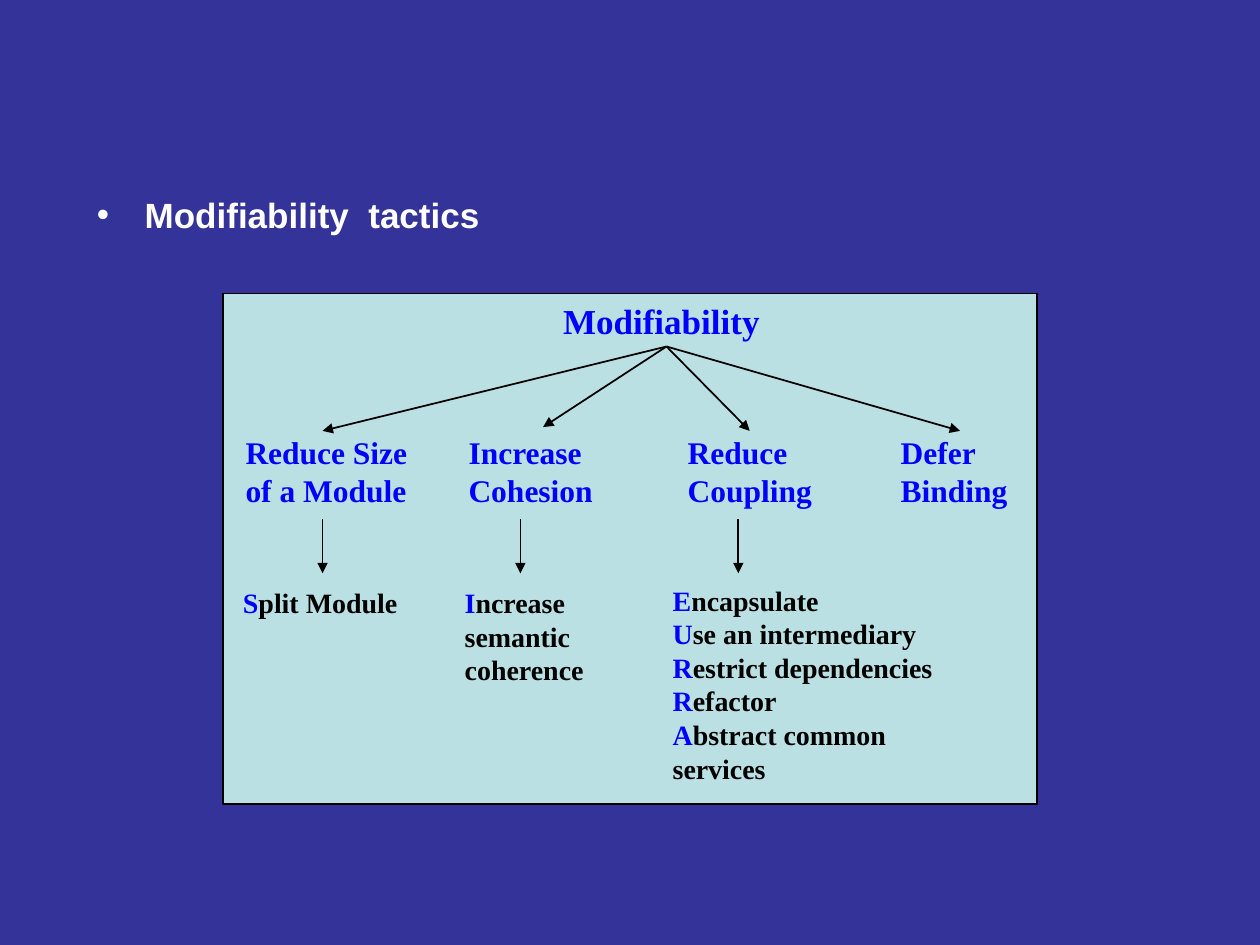
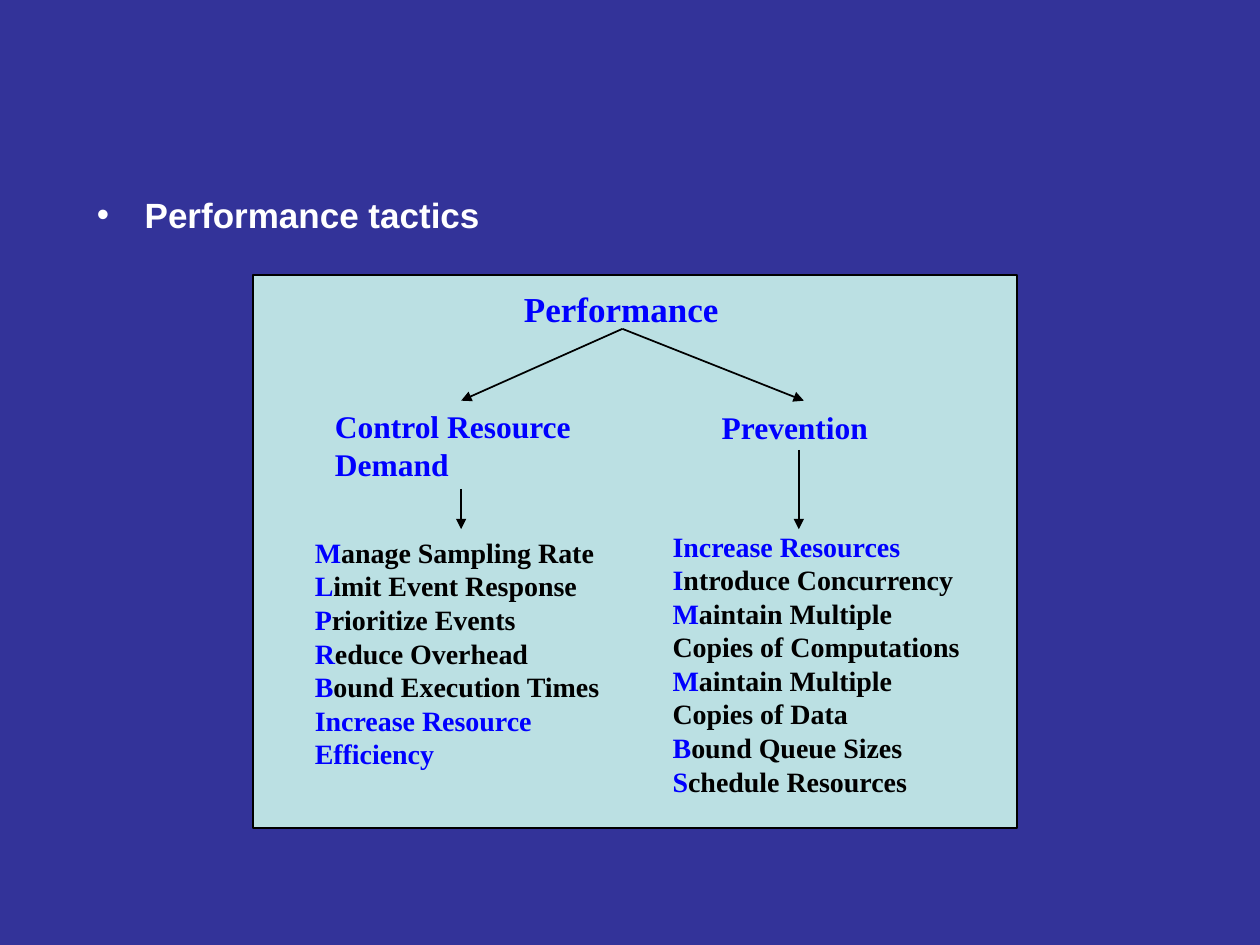
from lxml import etree
from pptx import Presentation
from pptx.dml.color import RGBColor
from pptx.enum.shapes import MSO_CONNECTOR, MSO_SHAPE
from pptx.enum.text import MSO_AUTO_SIZE
from pptx.oxml.ns import qn
from pptx.util import Inches, Pt

STRAIGHT = MSO_CONNECTOR.STRAIGHT
RECTANGLE = MSO_SHAPE.RECTANGLE
GROW = MSO_AUTO_SIZE.SHAPE_TO_FIT_TEXT

COLORS = {
    "background": "333399",
    "panel": "BBE0E3",
    "accent": "0000FF",
    "text": "000000",
    "heading": "FFFFFF",
}
FORMATS = {
    "heading": {"name": "Arial", "size": Pt(20), "bold": True},
    "root": {"name": "Times New Roman", "size": Pt(20), "bold": True},
    "category": {"name": "Times New Roman", "size": Pt(18), "bold": True},
    "tactic": {"name": "Times New Roman", "size": Pt(16), "bold": True},
}
HEADING_BOX = (0.67, 1.55, 9, 4.95)

# Pieces split by "|" alternate between the accent colour and the text colour.
SLIDES = [
    {
        "heading": "Modifiability  tactics",
        "panel": (1.77, 2.33, 6.46, 4.05),
        "root": ("Modifiability", (4.37, 2.33, 1.82, 0.44)),
        "fan_start": (5.29, 2.75),
        "branches": [
            {
                "category": ("Reduce Size of a Module", (1.85, 3.39, 1.58, 0.7)),
                "fan_end": (2.56, 3.42),
                "drop": (2.56, 4.12, 4.55),
                "tactics": (["S|plit Module"], (1.83, 4.6, 1.52, 0.37)),
            },
            {
                "category": ("Increase Cohesion", (3.62, 3.39, 1.38, 0.7)),
                "fan_end": (4.31, 3.39),
                "drop": (4.13, 4.12, 4.55),
                "tactics": (["I|ncrease semantic coherence"], (3.59, 4.6, 1.34, 0.9)),
            },
            {
                "category": ("Reduce Coupling", (5.36, 3.39, 1.22, 0.7)),
                "fan_end": (5.95, 3.42),
                "drop": (5.86, 4.12, 4.55),
                "tactics": (
                    [
                        "E|ncapsulate",
                        "U|se an intermediary |R|estrict dependencies |R|efactor",
                        "A|bstract common services",
                    ],
                    (5.24, 4.58, 2.28, 1.7),
                ),
            },
            {
                "category": ("Defer Binding", (7.05, 3.39, 1.19, 0.7)),
                "fan_end": (7.62, 3.42),
            },
        ],
    },
    {
        "heading": "Performance tactics",
        "panel": (2.01, 2.18, 6.06, 4.39),
        "root": ("Performance", (4.06, 2.23, 1.88, 0.44)),
        "fan_start": (4.94, 2.61),
        "branches": [
            {
                "category": ("Control Resource Demand", (2.56, 3.18, 2.2, 0.7)),
                "fan_end": (3.66, 3.18),
                "drop": (3.66, 3.88, 4.2),
                "tactics": (
                    [
                        "M|anage Sampling Rate",
                        "L|imit Event Response",
                        "P|rioritize Events",
                        "R|educe Overhead",
                        "B|ound Execution Times",
                        "Increase Resource Efficiency",
                    ],
                    (2.4, 4.2, 2.52, 1.97),
                ),
            },
            {
                "category": ("Prevention", (5.63, 3.19, 1.5, 0.4)),
                "fan_end": (6.38, 3.18),
                "drop": (6.34, 3.57, 4.2),
                "tactics": (
                    [
                        "Increase Resources",
                        "I|ntroduce Concurrency",
                        "M|aintain Multiple Copies of Computations",
                        "M|aintain Multiple Copies of Data",
                        "B|ound Queue Sizes",
                        "S|chedule Resources",
                    ],
                    (5.24, 4.15, 2.53, 2.24),
                ),
            },
        ],
    },
]


def rgb(name):
    return RGBColor.from_string(COLORS[name])


def inches(values):
    return [Inches(value) for value in values]


def add_text(slide, lines, box, style, colors=("accent", "text")):
    frame = slide.shapes.add_textbox(*inches(box)).text_frame
    frame.word_wrap = True
    for index, line in enumerate(lines):
        paragraph = frame.paragraphs[0] if index == 0 else frame.add_paragraph()
        for position, piece in enumerate(line.split("|")):
            run = paragraph.add_run()
            run.text = piece
            run.font.color.rgb = rgb(colors[position % 2])
            for attribute, value in FORMATS[style].items():
                setattr(run.font, attribute, value)
    return frame


def add_heading(slide, text):
    frame = add_text(slide, [text], HEADING_BOX, "heading", ("heading", "heading"))
    paragraph = frame.paragraphs[0]
    paragraph.line_spacing = 0.8
    paragraph.space_before = Pt(5)
    properties = paragraph._p.get_or_add_pPr()
    properties.set("marL", str(Inches(0.38)))
    properties.set("indent", str(-Inches(0.38)))
    bullet_color = etree.SubElement(properties, qn("a:buClr"))
    etree.SubElement(bullet_color, qn("a:srgbClr"), val=COLORS["heading"])
    etree.SubElement(properties, qn("a:buFont"), typeface="Arial")
    etree.SubElement(properties, qn("a:buChar"), char="•")


def add_panel(slide, box):
    panel = slide.shapes.add_shape(RECTANGLE, *inches(box))
    panel.shadow.inherit = False
    panel.fill.solid()
    panel.fill.fore_color.rgb = rgb("panel")
    panel.line.color.rgb = rgb("text")
    panel.line.width = Pt(1)


def add_arrow(slide, start, end):
    arrow = slide.shapes.add_connector(STRAIGHT, *inches(start + end))
    arrow.line.color.rgb = rgb("text")
    arrow.line.width = Pt(1)
    etree.SubElement(arrow.line._get_or_add_ln(), qn("a:tailEnd"), type="triangle")
    etree.SubElement(arrow._element.spPr, qn("a:effectLst"))


def add_label(slide, lines, box, style):
    add_text(slide, lines, box, style).auto_size = GROW


def build_slide(presentation, content):
    slide = presentation.slides.add_slide(presentation.slide_layouts[6])
    slide.background.fill.solid()
    slide.background.fill.fore_color.rgb = rgb("background")
    add_heading(slide, content["heading"])
    add_panel(slide, content["panel"])
    root, root_box = content["root"]
    add_label(slide, [root], root_box, "root")
    for branch in content["branches"]:
        category, category_box = branch["category"]
        add_label(slide, [category], category_box, "category")
        add_arrow(slide, content["fan_start"], branch["fan_end"])
        if "tactics" in branch:
            x, top, bottom = branch["drop"]
            add_arrow(slide, (x, top), (x, bottom))
            add_label(slide, *branch["tactics"], "tactic")


def main():
    presentation = Presentation()
    presentation.slide_width = Inches(10)
    presentation.slide_height = Inches(7.5)
    for content in SLIDES:
        build_slide(presentation, content)
    presentation.save("out.pptx")


if __name__ == "__main__":
    main()
